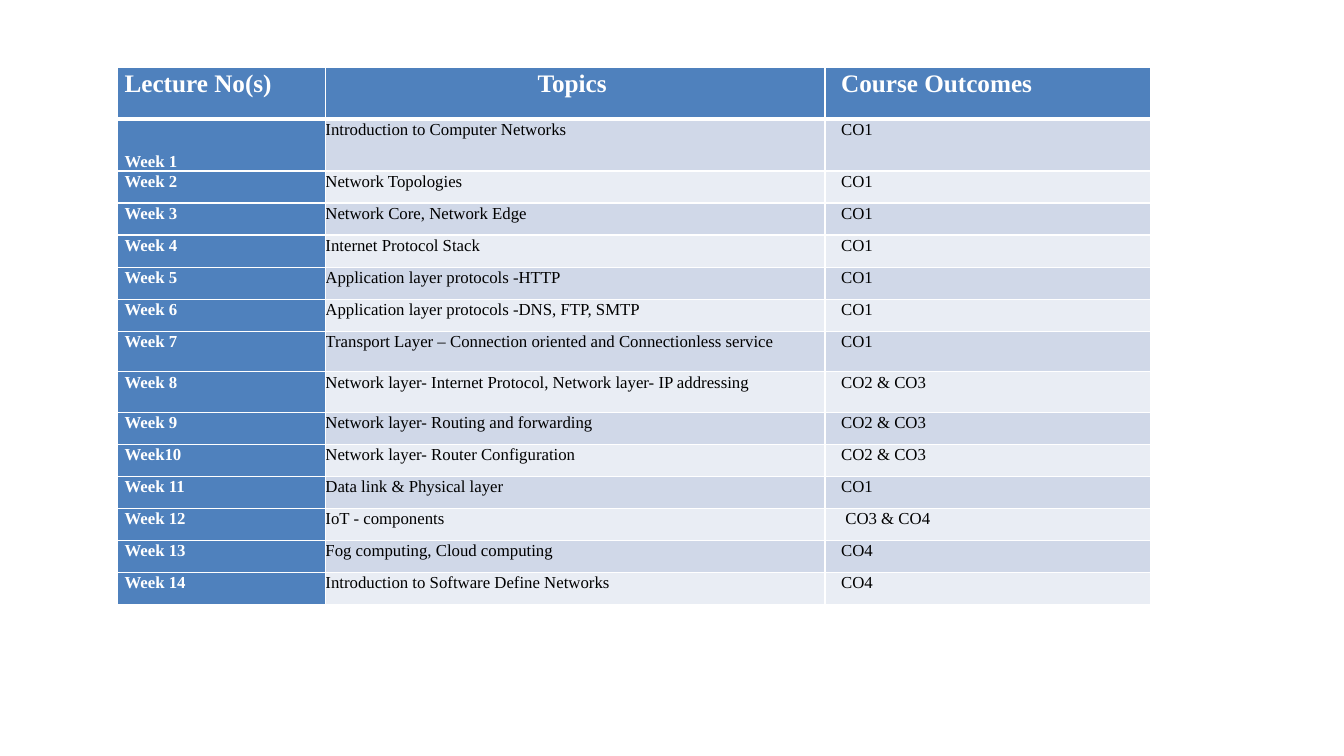
"""Build a slide with the weekly lecture plan of a computer networks course."""
from lxml.etree import SubElement
from pptx import Presentation
from pptx.dml.color import RGBColor
from pptx.enum.text import MSO_ANCHOR, PP_ALIGN
from pptx.oxml.ns import qn
from pptx.util import Pt

BLUE = RGBColor(0x4F, 0x81, 0xBD)
DARK_BAND = RGBColor(0xD0, 0xD8, 0xE8)
LIGHT_BAND = RGBColor(0xE9, 0xED, 0xF4)
WHITE = RGBColor(0xFF, 0xFF, 0xFF)
BLACK = RGBColor(0x00, 0x00, 0x00)

HEADINGS = ("Lecture No(s)", "Topics", "Course Outcomes")
LECTURES = (
    ("Week 1", "Introduction to Computer Networks", "CO1"),
    ("Week 2", "Network Topologies", "CO1"),
    ("Week 3", "Network Core, Network Edge", "CO1"),
    ("Week 4", "Internet Protocol Stack", "CO1"),
    ("Week 5", "Application layer protocols -HTTP", "CO1"),
    ("Week 6", "Application layer protocols -DNS, FTP, SMTP", "CO1"),
    ("Week 7", "Transport Layer – Connection oriented and Connectionless service", "CO1"),
    ("Week 8", "Network layer- Internet Protocol, Network layer- IP addressing", "CO2 & CO3"),
    ("Week 9", "Network layer- Routing and forwarding", "CO2 & CO3"),
    ("Week10", "Network layer- Router Configuration", "CO2 & CO3"),
    ("Week 11", "Data link & Physical layer", "CO1"),
    ("Week 12", "IoT - components", " CO3 & CO4"),
    ("Week 13", "Fog computing, Cloud computing", "CO4"),
    ("Week 14", "Introduction to Software Define Networks", "CO4"),
)
COLUMN_WIDTHS = (148.3, 356.9, 232.4)
COLUMN_INDENTS = ((10.8, -6), (0, 0), (5, 6.5))
ROW_HEIGHT = 22.9
TALL_ROWS = {0: 36.8, 1: 37, 7: 29, 8: 29}


def write_text(paragraph, text, *, font, size, color, bold=False,
               align=PP_ALIGN.LEFT, indent=(0, 0)):
    """Fill a paragraph with one formatted run."""
    paragraph.alignment = align
    paragraph.line_spacing = 1.07
    paragraph.space_after = Pt(8)
    properties = paragraph._p.get_or_add_pPr()
    for name, length in zip(("marL", "indent"), indent):
        properties.set(name, str(Pt(length)))
    run = paragraph.add_run()
    run.text = text
    run.font.name = font
    run.font.size = Pt(size)
    run.font.bold = bold
    run.font.color.rgb = color


class LecturePlan:
    """Holds the style and the current slide."""

    def __init__(self, slide, font="Times New Roman"):
        self.slide = slide
        self.font = font

    def add_borders(self, cell, top, bottom):
        """Draw white lines on the four sides of a cell."""
        properties = cell._tc.get_or_add_tcPr()
        for side, width in (("L", 1), ("R", 1), ("T", top), ("B", bottom)):
            line = SubElement(properties, qn(f"a:ln{side}"), w=str(Pt(width)))
            fill = SubElement(line, qn("a:solidFill"))
            SubElement(fill, qn("a:srgbClr"), val=str(WHITE))

    def add_cell(self, cell, text, row, column):
        """Style one cell by its place in the table."""
        heading = row == 0
        strong = heading or column == 0
        centred = heading and column == 1
        cell.margin_left = cell.margin_top = cell.margin_bottom = 0
        cell.margin_right = Pt(4.5 if heading else 0)
        if row == 1 and column == 0:
            cell.vertical_anchor = MSO_ANCHOR.BOTTOM
        self.add_borders(cell, top=3 if row == 1 else 1, bottom=3 if heading else 1)
        cell.fill.solid()
        band = DARK_BAND if row % 2 else LIGHT_BAND
        cell.fill.fore_color.rgb = BLUE if strong else band
        write_text(cell.text_frame.paragraphs[0], text, font=self.font,
                   size=18 if heading else 12, bold=strong,
                   color=WHITE if strong else BLACK,
                   align=PP_ALIGN.CENTER if centred else PP_ALIGN.LEFT,
                   indent=COLUMN_INDENTS[column])

    def add_table(self, rows, left, top):
        """Add the table with its headings and lectures."""
        heights = [TALL_ROWS.get(index, ROW_HEIGHT) for index in range(len(rows))]
        shape = self.slide.shapes.add_table(
            len(rows), len(COLUMN_WIDTHS), Pt(left), Pt(top),
            Pt(sum(COLUMN_WIDTHS)), Pt(sum(heights)))
        table = shape.table
        table.horz_banding = False
        table.first_row = False
        for column, width in zip(table.columns, COLUMN_WIDTHS):
            column.width = Pt(width)
        for row, (texts, height) in enumerate(zip(rows, heights)):
            table.rows[row].height = Pt(height)
            for column, text in enumerate(texts):
                self.add_cell(table.cell(row, column), text, row, column)


def main():
    """Create and save the presentation."""
    presentation = Presentation()
    presentation.slide_width = Pt(960)
    presentation.slide_height = Pt(540)
    slide = presentation.slides.add_slide(presentation.slide_layouts[6])
    LecturePlan(slide).add_table((HEADINGS, *LECTURES), left=84.2, top=48.4)
    presentation.save("out.pptx")


if __name__ == "__main__":
    main()
